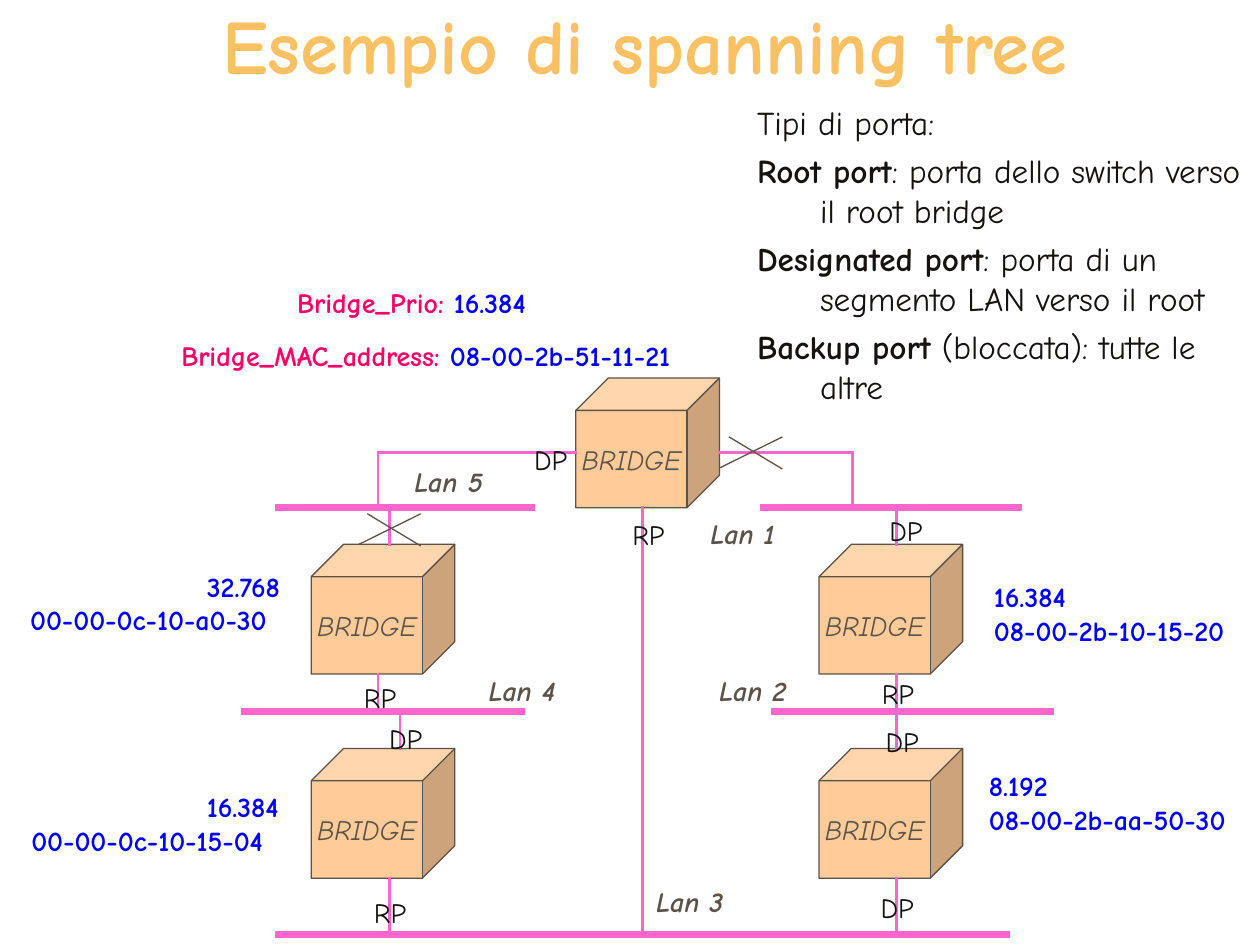
from dataclasses import dataclass
from typing import NamedTuple

from lxml.etree import SubElement
from pptx import Presentation
from pptx.dml.color import RGBColor
from pptx.enum.shapes import MSO_CONNECTOR as Connector, MSO_SHAPE as Shape
from pptx.enum.text import MSO_ANCHOR as Anchor, MSO_AUTO_SIZE as AutoSize, PP_ALIGN as Align
from pptx.oxml.ns import qn
from pptx.util import Inches, Pt

# Grid: 100 columns by 75 rows of square cells
COLS, ROWS = 100, 75
CELL = Inches(10) / COLS
FONT = "Comic Neue"
PINK, BROWN, BLUE, RED, INK = "FF66CC", "5B5249", "0000FF", "FF0066", "151311"
ORANGE, GOLD = "FFCC99", "FAC164"

BRIDGE_W, BRIDGE_H = 11.4, 10.3
LEFT, MIDDLE, RIGHT = 24.7, 45.7, 65.0
TOP, UPPER, LOWER = 30.0, 43.2, 59.4
LAN_TOP, LAN_MID, LAN_LOW = 40.3, 56.5, 74.15
ARM = 35.9  # row of the top bridge's side links


class Run(NamedTuple):
    text: str
    color: str = INK
    bold: bool = False
    italic: bool = False
    size: float = 16


class Line(NamedTuple):
    x1: float
    y1: float
    x2: float
    y2: float


@dataclass
class Label:
    col: float
    row: float
    width: float
    height: float
    paragraphs: list[list[Run]]
    wrap: bool = False


def cells(n: float) -> int:
    return round(n * CELL)


def rgb(code: str) -> RGBColor:
    return RGBColor.from_string(code)


def write(paragraph, runs: list[Run]) -> None:
    for part in runs:
        run = paragraph.add_run()
        run.text = part.text
        look = {"name": FONT, "size": Pt(part.size), "bold": part.bold, "italic": part.italic}
        for key, value in look.items():
            setattr(run.font, key, value)
        run.font.color.rgb = rgb(part.color)


def draw_label(shapes, label: Label):
    box = shapes.add_textbox(*map(cells, (label.col, label.row, label.width, label.height)))
    frame = box.text_frame
    frame.word_wrap = label.wrap
    frame.auto_size = AutoSize.SHAPE_TO_FIT_TEXT
    for i, runs in enumerate(label.paragraphs):
        write(frame.add_paragraph() if i else frame.paragraphs[0], runs)
    return frame


def draw_bridge(shapes, col: float, row: float) -> None:
    cube = shapes.add_shape(Shape.CUBE, *map(cells, (col, row, BRIDGE_W, BRIDGE_H)))
    cube.shadow.inherit = False
    cube.fill.solid()
    cube.fill.fore_color.rgb = rgb(ORANGE)
    cube.line.color.rgb = rgb(BROWN)
    cube.line.width = Pt(0.75)
    frame = cube.text_frame
    frame.word_wrap = False
    frame.vertical_anchor = Anchor.MIDDLE
    frame.paragraphs[0].alignment = Align.CENTER
    write(frame.paragraphs[0], [Run("BRIDGE", BROWN, italic=True)])


def draw_line(shapes, line: Line, color: str, width: float) -> None:
    link = shapes.add_connector(Connector.STRAIGHT, *map(cells, line))
    link.line.color.rgb = rgb(color)
    link.line.width = Pt(width)
    props = link._element.spPr
    props.find(qn("a:ln")).set("cap", "sq")
    SubElement(props, qn("a:effectLst"))


def draw_cross(shapes, col: float, row: float) -> None:
    """Mark a blocked port."""
    group = shapes.add_group_shape().shapes
    draw_line(group, Line(col + 4.85, row, col, row + 2.4), BROWN, 0.75)
    draw_line(group, Line(col + 0.7, row, col + 4.85, row + 2.5), BROWN, 0.75)


BRIDGES = [(LEFT, LOWER), (LEFT, UPPER), (RIGHT, LOWER), (RIGHT, UPPER), (MIDDLE, TOP)]

# LAN segments: first column, last column, row
LANS = [
    (60.6, 80.8, LAN_TOP), (61.5, 83.4, LAN_MID), (22.1, 79.9, LAN_LOW),
    (19.4, 41.4, LAN_MID), (22.1, 42.2, LAN_TOP),
]

# Vertical links: column, first row, last row
DROPS = [
    (71.15, LAN_TOP, UPPER), (67.65, ARM, LAN_TOP),
    (71.15, UPPER + BRIDGE_H, LAN_MID), (71.15, LAN_MID, LOWER),
    (71.15, LOWER + BRIDGE_H, LAN_LOW), (30.9, LOWER + BRIDGE_H, LAN_LOW),
    (31.75, LAN_MID, LOWER), (30, UPPER + BRIDGE_H, LAN_MID),
    (30.9, LAN_TOP, UPPER), (30, ARM, LAN_TOP), (51, TOP + BRIDGE_H, LAN_LOW),
]
ARMS = [(MIDDLE + BRIDGE_W, 67.7), (30, MIDDLE)]

LAN_NAMES = [(55.4, 40.5), (56.1, 53), (51.1, 69.7), (37.8, 53), (31.9, 36.4)]

PORTS = {
    "RP": [(49.2, 40.6), (27.9, 53.5), (28.7, 70.6), (69, 53.2)],
    "DP": [(69.6, 40.3), (69.3, 57), (68.9, 70.2), (41.4, 34.6), (29.9, 56.8)],
}

# Bridge identity: column, row, width, priority, MAC address
IDENTITIES = [
    (77.9, 45.5, 20.6, "16.384", "08-00-2b-10-15-20"),
    (77.5, 60.5, 21.1, "8.192", "08-00-2b-aa-50-30"),
    (1.5, 62.2, 21.6, "16.384", "00-00-0c-10-15-04"),
    (1.4, 44.7, 21.8, "32.768", "00-00-0c-10-a0-30"),
]
TOP_IDENTITY = [
    (22.6, 22.2, 20.6, "Bridge_Prio: ", "16.384"),
    (13.4, 26.4, 41.2, "Bridge_MAC_address: ", "08-00-2b-51-11-21"),
]

PORT_TYPES = [
    ("", "Tipi di porta:"),
    ("Root port", ": porta dello switch verso il root bridge"),
    ("Designated port", ": porta di un segmento LAN verso il root"),
    ("Backup port", " (bloccata): tutte le altre"),
]


def main() -> None:
    deck = Presentation()
    deck.slide_width, deck.slide_height = cells(COLS), cells(ROWS)
    shapes = deck.slides.add_slide(deck.slide_layouts[6]).shapes

    # Network: bridges, LANs and links
    for col, row in BRIDGES:
        draw_bridge(shapes, col, row)
    for start, end, row in LANS:
        draw_line(shapes, Line(start, row, end, row), PINK, 4)
    for col, start, end in DROPS:
        draw_line(shapes, Line(col, start, col, end), PINK, 1.5)
    for start, end in ARMS:
        draw_line(shapes, Line(start, ARM, end, ARM), PINK, 1.5)

    # LAN names and bridge identities
    for number, (col, row) in enumerate(LAN_NAMES, 1):
        draw_label(shapes, Label(col, row, 7.8, 3.7, [[Run(f"Lan {number}", BROWN, True, True)]]))
    for col, row, width, caption, value in TOP_IDENTITY:
        runs = [Run(caption, RED, True), Run(value, BLUE, True)]
        draw_label(shapes, Label(col, row, width, 3.7, [runs]))
    for col, row, width, priority, address in IDENTITIES:
        on_left = col < COLS / 2
        lines = [[Run(text, BLUE, True)] for text in (priority, address)]
        frame = draw_label(shapes, Label(col, row, width, 6.4, lines, wrap=on_left))
        if on_left:
            frame.paragraphs[0].alignment = Align.RIGHT

    # Blocked ports
    for col, row in [(28.5, 40.8), (57.2, 34.7)]:
        draw_cross(shapes, col, row)

    # Title
    heading = [Run("Esempio di spanning tree", GOLD, True, size=44)]
    title = draw_label(shapes, Label(8.7, 0.5, 85, 5.9, [heading], wrap=True))
    title.auto_size = AutoSize.NONE
    title.vertical_anchor = Anchor.MIDDLE
    title.paragraphs[0].alignment = Align.CENTER

    # Port types, with hanging indents
    types = [[Run(text, INK, bold, size=19) for text, bold in ((term, True), (meaning, False)) if text]
             for term, meaning in PORT_TYPES]
    legend = draw_label(shapes, Label(59.1, 7.6, 40.9, 25.2, types, wrap=True))
    for i, paragraph in enumerate(legend.paragraphs):
        props = paragraph._p.get_or_add_pPr()
        for key, value in {"marL": cells(5), "indent": -cells(5)}.items():
            props.set(key, str(value))
        paragraph.space_before = Pt(4.8 if i else 0)

    # Port roles
    for role, spots in PORTS.items():
        for col, row in spots:
            draw_label(shapes, Label(col, row, 5, 3.7, [[Run(role)]]))

    deck.save("out.pptx")


if __name__ == "__main__":
    main()
